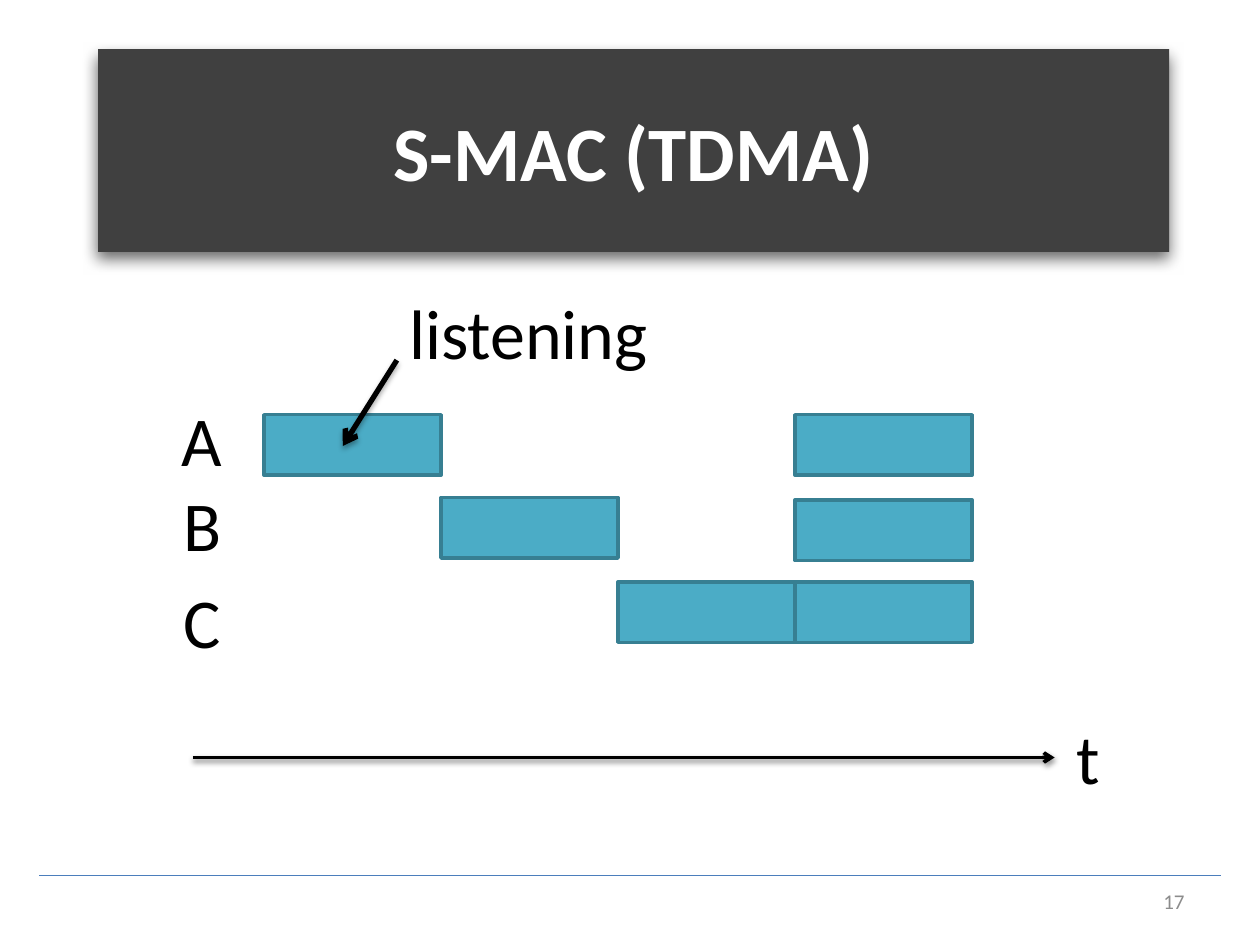
from dataclasses import dataclass
from typing import Optional

from lxml import etree
from pptx import Presentation
from pptx.dml.color import RGBColor
from pptx.enum.shapes import MSO_CONNECTOR, MSO_SHAPE
from pptx.enum.text import MSO_ANCHOR, MSO_AUTO_SIZE, PP_ALIGN
from pptx.oxml.ns import qn
from pptx.util import Cm, Pt

LEFT, CENTER, RIGHT = PP_ALIGN.LEFT, PP_ALIGN.CENTER, PP_ALIGN.RIGHT
TOP, MIDDLE = MSO_ANCHOR.TOP, MSO_ANCHOR.MIDDLE
RECT, STRAIGHT = MSO_SHAPE.RECTANGLE, MSO_CONNECTOR.STRAIGHT
BLACK = "000000"
SLOT_LEFT, SLOT_W, SLOT_H = 5.32, 3.57, 1.22


@dataclass
class Shadow:
    """Opacity in percent, blur and distance in points, direction in degrees."""
    opacity: int
    blur: float
    dist: float
    angle: int


@dataclass
class Label:
    text: str
    left: float
    top: float
    width: float
    height: float = 1.96
    size: int = 40
    color: str = BLACK
    align: PP_ALIGN = LEFT
    anchor: MSO_ANCHOR = TOP
    wrap: bool = True


@dataclass
class Line:
    x1: float
    y1: float
    x2: float
    y2: float
    width: float
    color: str = BLACK
    arrow: bool = False
    shadow: Optional[Shadow] = None


@dataclass
class Slot:
    column: int
    top: float


LABELS = [
    Label("17", 18.21, 17.65, 5.92, 1.02, 12, "8C8C8C", RIGHT, MIDDLE),
    Label("t", 21.46, 14.27, 0.99),
    Label("A", 3.4, 7.87, 1.35, wrap=False),
    Label("B", 3.45, 9.58, 1.3, wrap=False),
    Label("C", 3.45, 11.53, 1.27, wrap=False),
    Label("listening", 8, 5.72, 14.55),
]
SLOTS = [Slot(0, 8.36), Slot(1, 10.03), Slot(2, 11.73),
         Slot(3, 10.08), Slot(3, 11.73), Slot(3, 8.36)]
FOOTER_RULE = Line(0.79, 17.65, 24.61, 17.65, 0.75, "4B7EBC")
TIME_AXIS = Line(3.89, 15.27, 21.26, 15.27, 2, arrow=True,
                 shadow=Shadow(38, 3.1, 1.6, 90))
POINTER = Line(8, 7.26, 6.91, 8.99, 3, arrow=True,
               shadow=Shadow(35, 3.1, 1.8, 90))


def rgb(value: str) -> RGBColor:
    return RGBColor.from_string(value)


def set_shadow(shape, shadow: Optional[Shadow]) -> None:
    """Replace the theme's effects with the given shadow, or with none."""
    effects = etree.SubElement(shape._element.spPr, qn("a:effectLst"))
    if shadow is None:
        return
    outer = etree.SubElement(
        effects, qn("a:outerShdw"), blurRad=str(Pt(shadow.blur)),
        dist=str(Pt(shadow.dist)), dir=str(shadow.angle * 60000),
        rotWithShape="0")
    color = etree.SubElement(outer, qn("a:srgbClr"), val=BLACK)
    etree.SubElement(color, qn("a:alpha"), val=str(shadow.opacity * 1000))


def add_run(p, text: str, size: int, color: str, bold: bool = False) -> None:
    r = p.add_run()
    r.text = text
    r.font.name = "Calibri"
    r.font.size = Pt(size)
    r.font.bold = bold
    r.font.color.rgb = rgb(color)


def set_title(s, text: str) -> None:
    title = s.shapes.title
    title.left, title.top = Cm(1.98), Cm(0.99)
    title.width, title.height = Cm(21.59), Cm(4.09)
    title.fill.solid()
    title.fill.fore_color.rgb = rgb("404040")
    set_shadow(title, Shadow(58, 9, 4, 100))
    tf = title.text_frame
    tf.vertical_anchor = MIDDLE
    p = tf.paragraphs[0]
    p.alignment = CENTER
    add_run(p, text, 44, "FFFFFF", bold=True)


def add_label(s, label: Label) -> None:
    box = s.shapes.add_textbox(Cm(label.left), Cm(label.top),
                               Cm(label.width), Cm(label.height))
    tf = box.text_frame
    tf.word_wrap = label.wrap
    tf.vertical_anchor = label.anchor
    if label.anchor == TOP:
        tf.auto_size = MSO_AUTO_SIZE.SHAPE_TO_FIT_TEXT
    p = tf.paragraphs[0]
    p.alignment = label.align
    add_run(p, label.text, label.size, label.color)


def add_slot(s, slot: Slot) -> None:
    sp = s.shapes.add_shape(RECT, Cm(SLOT_LEFT + slot.column * SLOT_W),
                            Cm(slot.top), Cm(SLOT_W), Cm(SLOT_H))
    sp.shadow.inherit = False
    sp.fill.solid()
    sp.fill.fore_color.rgb = rgb("4BACC6")
    sp.line.color.rgb = rgb("377F92")
    sp.line.width = Pt(2)


def add_line(s, line: Line) -> None:
    cxn = s.shapes.add_connector(STRAIGHT, Cm(line.x1), Cm(line.y1),
                                 Cm(line.x2), Cm(line.y2))
    cxn.line.color.rgb = rgb(line.color)
    cxn.line.width = Pt(line.width)
    if line.arrow:
        ln = cxn._element.spPr.find(qn("a:ln"))
        etree.SubElement(ln, qn("a:tailEnd"), type="arrow")
    set_shadow(cxn, line.shadow)


def main() -> None:
    prs = Presentation()
    prs.slide_width, prs.slide_height = Cm(25.4), Cm(19.05)
    s = prs.slides.add_slide(prs.slide_layouts[5])
    set_title(s, "S-MAC (TDMA)")
    add_line(s, FOOTER_RULE)
    add_line(s, TIME_AXIS)
    for label in LABELS:
        add_label(s, label)
    for slot in SLOTS:
        add_slot(s, slot)
    add_line(s, POINTER)
    prs.save("out.pptx")


if __name__ == "__main__":
    main()
